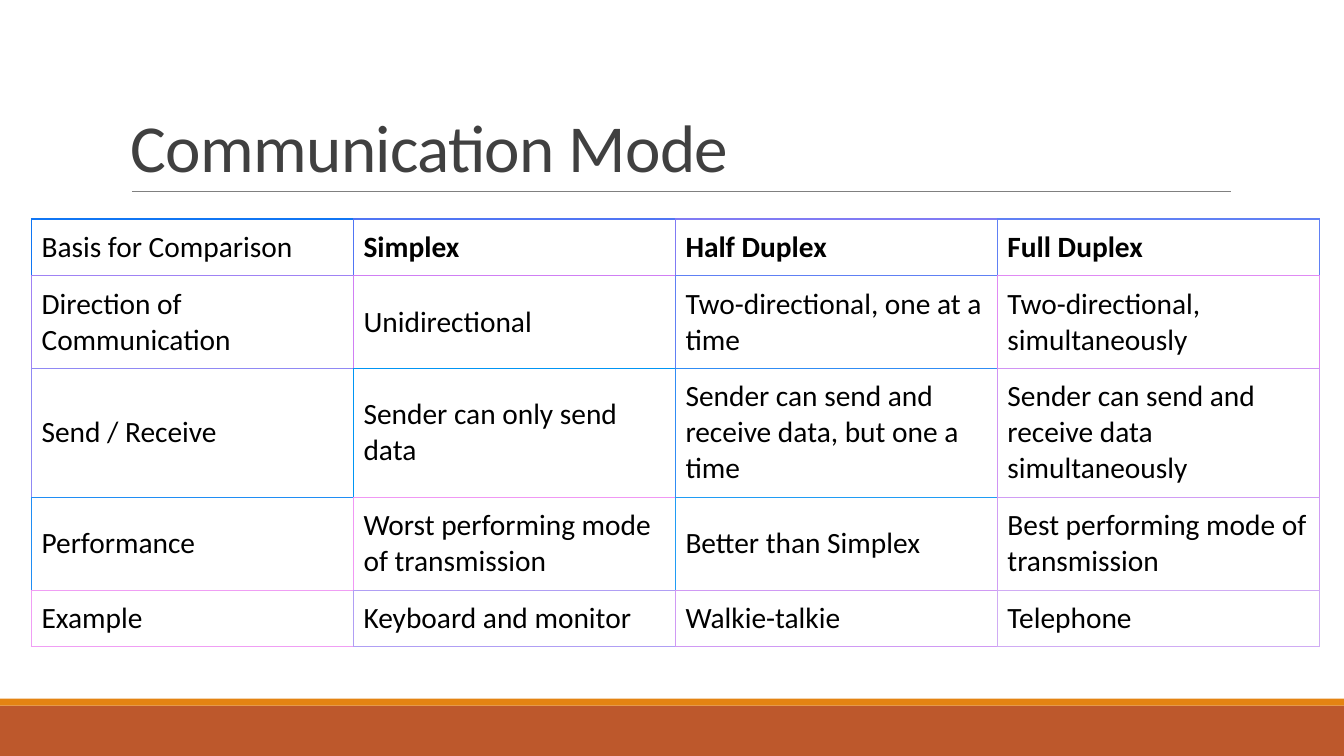
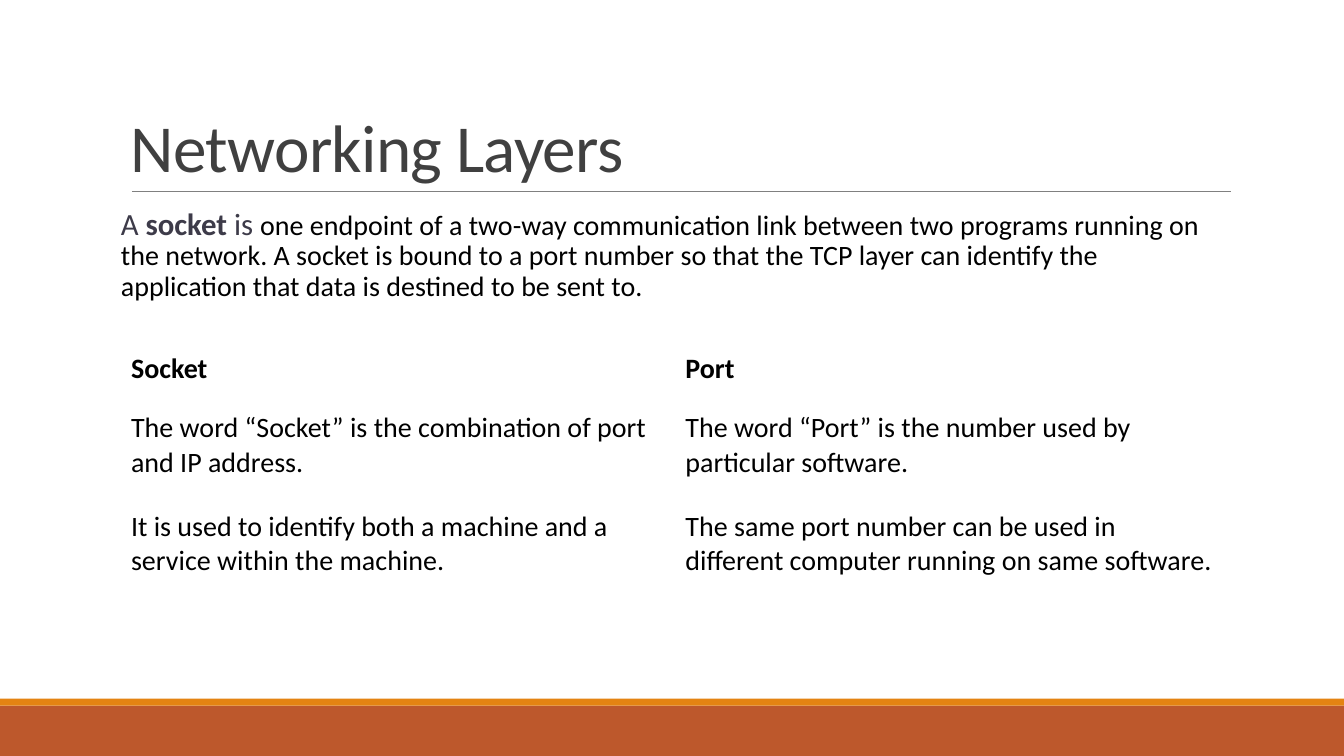
from lxml.etree import SubElement
from pptx import Presentation
from pptx.dml.color import RGBColor
from pptx.enum.shapes import MSO_CONNECTOR, MSO_SHAPE
from pptx.enum.text import MSO_ANCHOR
from pptx.oxml.ns import qn
from pptx.util import Pt

COLORS = {
    "background": "FFFFFF",
    "band": "BD582C",
    "strip": "E48312",
    "rule": "808080",
    "title": "404040",
    "lead": "3D3B49",
    "text": "000000",
}
EDGE_COLORS = {
    "Basis for Comparison": ["1076F4", "5075F4", "807BF4", "6080F4"],
    "Direction of Communication": ["A082F4", "D07FF4", "6080F4", "E08AF4"],
    "Send / Receive": ["9089F4", "0095F4", "308CF4", "D094F4"],
    "Performance": ["208DF4", "F098F4", "209CF4", "D09DF4"],
    "Example": ["F09EF4", "B09FF4", "D09AF4", "D0ACF4"],
}
COMPARISON = [
    ["Basis for Comparison", "Simplex", "Half Duplex", "Full Duplex"],
    ["Direction of Communication", "Unidirectional",
     "Two-directional, one at a time", "Two-directional, simultaneously"],
    ["Send / Receive", "Sender can only send data",
     "Sender can send and receive data, but one a time",
     "Sender can send and receive data simultaneously"],
    ["Performance", "Worst performing mode of transmission",
     "Better than Simplex", "Best performing mode of transmission"],
    ["Example", "Keyboard and monitor", "Walkie-talkie", "Telephone"],
]
DEFINITIONS = [
    ["Socket", "Port"],
    ["The word “Socket” is the combination of port and IP address.",
     "The word “Port” is the number used by particular software."],
    ["It is used to identify both a machine and a service within the machine.",
     "The same port number can be used in different computer running on same software."],
]
SOCKET_LEAD = [
    ("A ", 22, "lead", False),
    ("socket ", 22, "lead", True),
    ("is ", 22, "lead", False),
    ("one endpoint of a two-way communication link between two programs running on "
     "the network. A socket is bound to a port number so that the TCP layer can "
     "identify the application that data is destined to be sent to.", 20, "text", False),
]


class Deck:
    """Holds the shared style and the slide being built."""

    font = "Calibri"
    width, height = 960, 540
    left, content_width = 86.4, 792

    def __init__(self):
        self.presentation = Presentation()
        self.presentation.slide_width = Pt(self.width)
        self.presentation.slide_height = Pt(self.height)
        self.slide = None

    def style(self, run, size, color, bold=False):
        run.font.name = self.font
        run.font.size = Pt(size)
        run.font.bold = bold
        run.font.color.rgb = RGBColor.from_string(COLORS[color])

    def band(self, top, height, color):
        band = self.slide.shapes.add_shape(
            MSO_SHAPE.RECTANGLE, 0, Pt(top), Pt(self.width), Pt(height))
        band.shadow.inherit = False
        band.fill.solid()
        band.fill.fore_color.rgb = RGBColor.from_string(COLORS[color])
        band.line.fill.background()

    def rule(self, start, end, y):
        rule = self.slide.shapes.add_connector(
            MSO_CONNECTOR.STRAIGHT, Pt(start), Pt(y), Pt(end), Pt(y))
        rule.line.width = Pt(0.5)
        rule.line.color.rgb = RGBColor.from_string(COLORS["rule"])
        SubElement(rule._element.spPr, qn("a:effectLst"))

    def text_frame(self, top, height):
        frame = self.slide.shapes.add_textbox(
            Pt(self.left), Pt(top), Pt(self.content_width), Pt(height)).text_frame
        frame.word_wrap = True
        return frame

    def title(self, text):
        frame = self.text_frame(22.3, 114.5)
        frame.vertical_anchor = MSO_ANCHOR.BOTTOM
        frame.text = text
        heading = frame.paragraphs[0]
        heading.line_spacing = 0.85
        self.style(heading.runs[0], 48, "title")
        heading.runs[0]._r.get_or_add_rPr().set("spc", "-50")

    def new_slide(self, title):
        self.slide = self.presentation.slides.add_slide(self.presentation.slide_layouts[6])
        self.slide.background.fill.solid()
        self.slide.background.fill.fore_color.rgb = RGBColor.from_string(COLORS["background"])
        self.band(504, 36, "band")
        self.band(499, 5, "strip")
        self.rule(94.3, 879.1, 136.8)
        self.title(title)

    def lead(self, pieces):
        frame = self.text_frame(145.4, 316.8)
        frame.margin_left = frame.margin_right = 0
        paragraph = frame.paragraphs[0]
        paragraph.line_spacing = 0.9
        paragraph.space_before, paragraph.space_after = Pt(12), Pt(2)
        for text, size, color, bold in pieces:
            run = paragraph.add_run()
            run.text = text
            self.style(run, size, color, bold)

    def table(self, rows, left, top, column_width, heights, size,
              body_margin=7.2, edges=None, plain_corner=False):
        columns = len(rows[0])
        table = self.slide.shapes.add_table(
            len(rows), columns, Pt(left), Pt(top),
            Pt(column_width * columns), Pt(sum(heights))).table
        table.first_row = table.horz_banding = False
        for column in table.columns:
            column.width = Pt(column_width)
        for r, texts in enumerate(rows):
            table.rows[r].height = Pt(heights[r])
            for c, text in enumerate(texts):
                cell = table.cell(r, c)
                if edges:
                    self.borders(cell, edges, r, c)
                cell.fill.solid()
                cell.fill.fore_color.rgb = RGBColor.from_string(COLORS["background"])
                cell.vertical_anchor = MSO_ANCHOR.MIDDLE
                cell.margin_left = cell.margin_right = Pt(7.2)
                cell.margin_top = cell.margin_bottom = Pt(body_margin if r else 7.2)
                cell.text_frame.text = text
                bold = r == 0 and not (plain_corner and c == 0)
                self.style(cell.text_frame.paragraphs[0].runs[0], size, "text", bold)

    def borders(self, cell, edges, r, c):
        own = edges[r][c]
        last_column = c == len(edges[r]) - 1
        last_row = r == len(edges) - 1
        sides = [
            ("L", own, 1),
            ("R", own if last_column else edges[r][c + 1], 0.75 if last_column else 1),
            ("T", own, 1),
            ("B", own if last_row else edges[r + 1][c], 0.75 if last_row else 1),
        ]
        properties = cell._tc.get_or_add_tcPr()
        for side, color, width in sides:
            line = SubElement(properties, qn(f"a:ln{side}"), w=str(Pt(width)))
            fill = SubElement(line, qn("a:solidFill"))
            SubElement(fill, qn("a:srgbClr"), val=color)


def main():
    deck = Deck()
    deck.new_slide("Communication Mode")
    deck.table(COMPARISON, 22.5, 156.4, 230, [40.4, 66.4, 92, 66.4, 40.4], 21,
               edges=list(EDGE_COLORS.values()), plain_corner=True)
    deck.new_slide("Networking Layers")
    deck.lead(SOCKET_LEAD)
    deck.table(DEFINITIONS, deck.left, 244, deck.content_width / 2,
               [38.8, 70.4, 70.4], 20, body_margin=10.8)
    deck.presentation.save("out.pptx")


if __name__ == "__main__":
    main()
